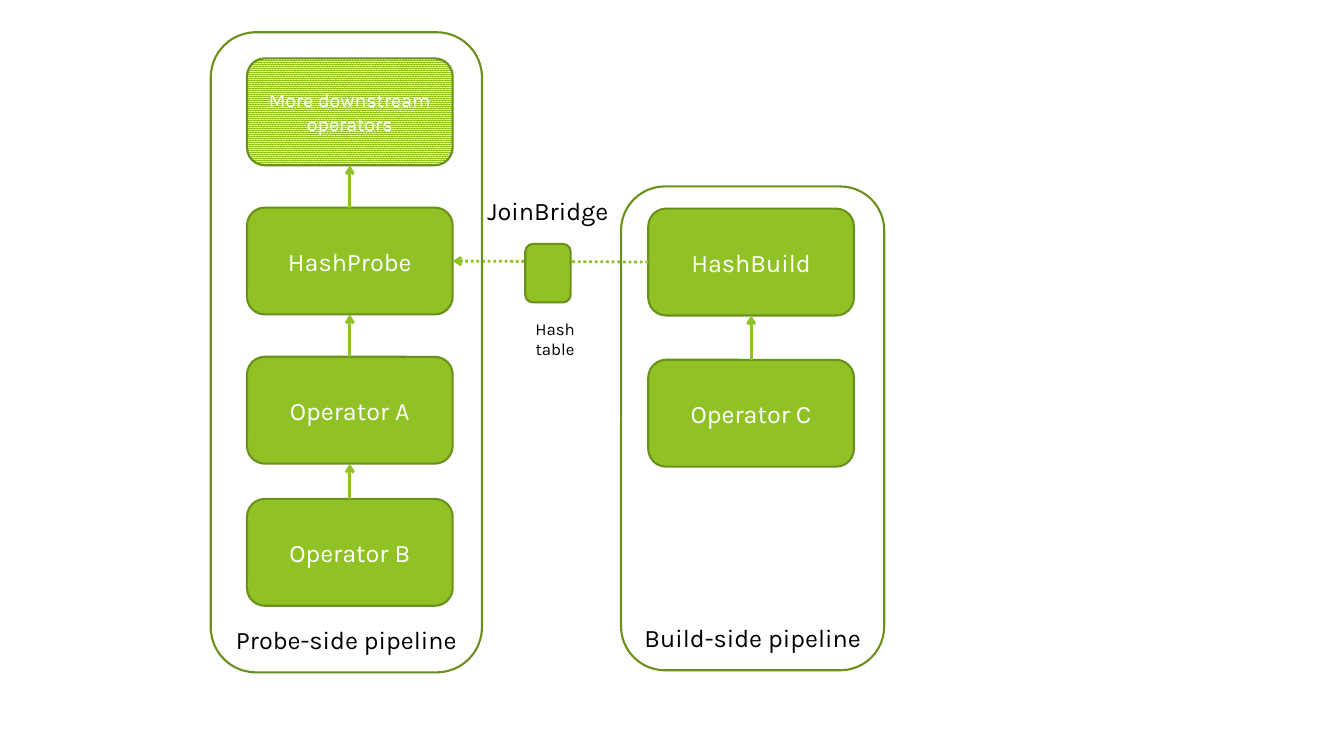
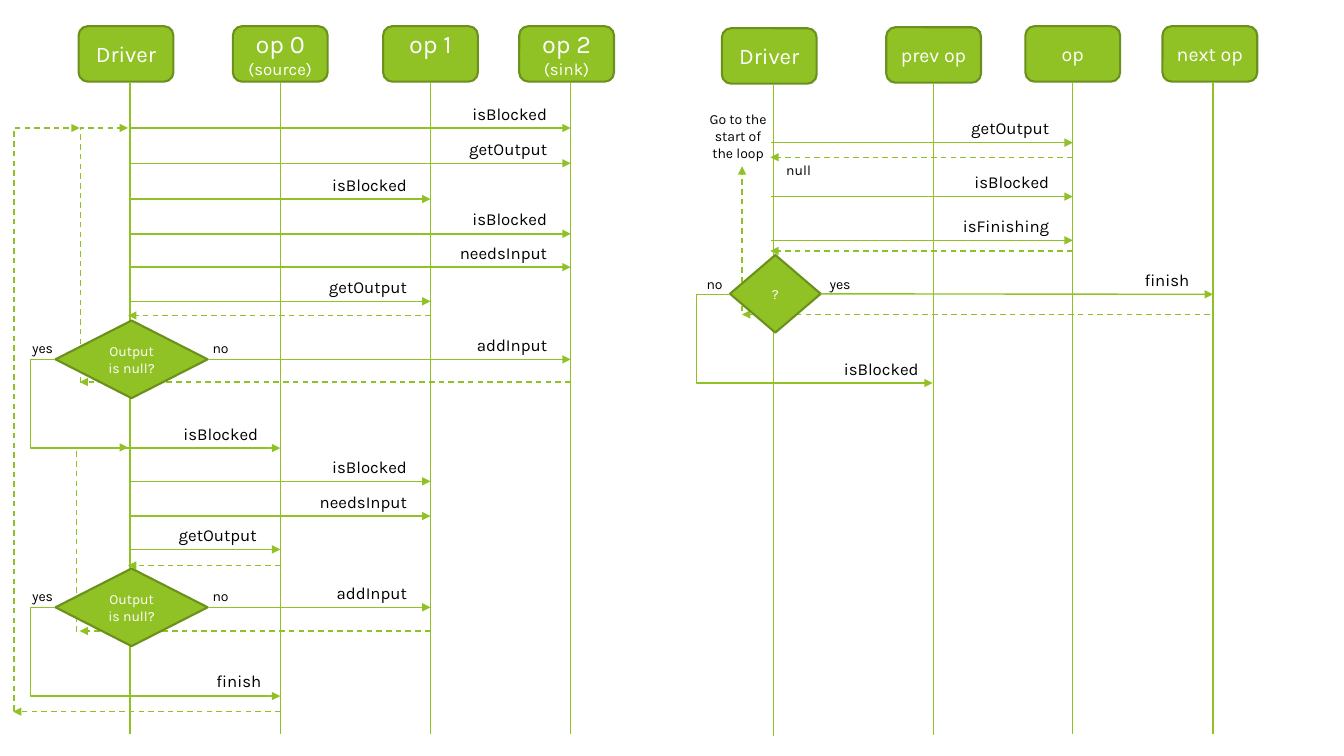
import pptx
import pptx.util
import pptx.dml.color
import pptx.enum.dml
import pptx.enum.shapes
import pptx.enum.text
import pptx.oxml.ns
import pptx.oxml.xmlchemy

GREEN = pptx.dml.color.RGBColor(0x90, 0xC2, 0x26)
DARK_GREEN = pptx.dml.color.RGBColor(0x6B, 0x90, 0x1C)
WHITE = pptx.dml.color.RGBColor(0xFF, 0xFF, 0xFF)
BLACK = pptx.dml.color.RGBColor(0, 0, 0)
FONT = "Karla"
CELL = 0.1  # side of a square grid cell in inches

SHAPE = pptx.enum.shapes.MSO_SHAPE
CONNECTOR = pptx.enum.shapes.MSO_CONNECTOR
DASH = pptx.enum.dml.MSO_LINE.DASH
DOT = pptx.enum.dml.MSO_LINE.ROUND_DOT
PATTERN = pptx.enum.dml.MSO_PATTERN
ALIGN = pptx.enum.text.PP_ALIGN
ANCHOR = pptx.enum.text.MSO_ANCHOR
TOP, LEFT, BOTTOM, RIGHT = range(4)


def cells(*counts):
    """Turn numbers of grid cells into lengths."""
    return [pptx.util.Inches(count * CELL) for count in counts]


class Diagram:
    """Style and current slide; all lengths are columns and rows of the grid."""

    def __init__(self, presentation):
        self.presentation = presentation
        self.slide = None

    def new_slide(self):
        self.slide = self.presentation.slides.add_slide(
            self.presentation.slide_layouts[6])

    def set_text(self, frame, lines, color, align):
        frame.word_wrap = True
        for index, (text, size) in enumerate(lines):
            paragraph = frame.add_paragraph() if index else frame.paragraphs[0]
            paragraph.text = text
            paragraph.alignment = align
            paragraph.font.name = FONT
            paragraph.font.size = pptx.util.Pt(size)
            paragraph.font.color.rgb = color

    def shape(self, at, *lines, kind=SHAPE.ROUNDED_RECTANGLE, pattern=None):
        shape = self.slide.shapes.add_shape(kind, *cells(*at))
        shape.shadow.inherit = False
        if pattern is None:
            shape.fill.solid()
        else:
            shape.fill.patterned()
            shape.fill.pattern = pattern
            shape.fill.back_color.rgb = WHITE
        shape.fill.fore_color.rgb = GREEN
        shape.line.color.rgb = DARK_GREEN
        shape.line.width = pptx.util.Pt(1.5)
        shape.text_frame.vertical_anchor = ANCHOR.MIDDLE
        self.set_text(shape.text_frame, lines, WHITE, ALIGN.CENTER)
        return shape

    def frame(self, at, title):
        frame = self.shape(at)
        frame.fill.background()
        frame.text_frame.vertical_anchor = ANCHOR.BOTTOM
        self.set_text(frame.text_frame, [(title, 18)], BLACK, ALIGN.CENTER)

    def decision(self, at, text):
        return self.shape(at, (text, 10), kind=SHAPE.FLOWCHART_DECISION)

    def label(self, at, text, size, align=ALIGN.LEFT):
        box = self.slide.shapes.add_textbox(*cells(*at))
        self.set_text(box.text_frame, [(text, size)], BLACK, align)

    def line(self, start, end, arrow="triangle", dash=None, width=1,
             kind=CONNECTOR.STRAIGHT):
        connector = self.slide.shapes.add_connector(kind, *cells(*start, *end))
        connector.line.color.rgb = GREEN
        connector.line.width = pptx.util.Pt(width)
        if dash is not None:
            connector.line.dash_style = dash
        properties = connector._element.spPr
        if arrow:
            tail = pptx.oxml.xmlchemy.OxmlElement("a:tailEnd")
            tail.set("type", arrow)
            properties.find(pptx.oxml.ns.qn("a:ln")).append(tail)
        properties.append(pptx.oxml.xmlchemy.OxmlElement("a:effectLst"))
        return connector

    def link(self, source, source_side, target, target_side, dash=None):
        connector = self.line((0, 0), (1, 1), "arrow", dash, 2)
        connector.begin_connect(source, source_side)
        connector.end_connect(target, target_side)

    def elbow(self, start, end, turn, dash=None):
        """Run along the row to column turn, then to the row of end."""
        connector = self.line(start, end, dash=dash, kind=CONNECTOR.ELBOW)
        guide = pptx.oxml.xmlchemy.OxmlElement("a:gd")
        share = (turn - start[0]) / (end[0] - start[0])
        guide.set("name", "adj1")
        guide.set("fmla", f"val {round(share * 100000)}")
        values = connector._element.spPr.find(
            ".//" + pptx.oxml.ns.qn("a:avLst"))
        values.append(guide)

    def call_label(self, column, row, text, gap=1.35):
        """Name a call above its arrow, which ends at the column."""
        self.label((column - gap - 12.5, row - 2.95, 12.5, 3), text, 12,
                   ALIGN.RIGHT)

    def call(self, start, column, row, text, source=None):
        connector = self.line((start, row), (column, row))
        if source is not None:
            connector.begin_connect(source, RIGHT)
        self.call_label(column, row, text)

    def participant(self, left, top, life, *lines):
        """Header with a lifeline that runs down at column life."""
        width, height = 9.4, 5.5
        header = self.shape((left, top, width, height), *lines)
        bottom = top + height
        connector = self.line((life, bottom), (life, bottom + 64.75), None)
        if abs(left + width / 2 - life) < 0.2:
            connector.begin_connect(header, BOTTOM)
        return header


def pipelines(diagram):
    diagram.new_slide()
    probe, build = 24.5, 64.3
    size = (20.4, 10.6)

    # Operators
    downstream = diagram.shape((probe, 5.8, *size),
                               ("More downstream operators", 14),
                               pattern=PATTERN.PERCENT_90)
    hash_probe, operator_a, operator_b, hash_build, operator_c = [
        diagram.shape((left, top, *size), (name, 18))
        for left, top, name in [(probe, 20.6, "HashProbe"),
                                (probe, 35.4, "Operator A"),
                                (probe, 49.5, "Operator B"),
                                (build, 20.7, "HashBuild"),
                                (build, 35.7, "Operator C")]]

    # Data flow
    for lower, upper in [(operator_b, operator_a), (operator_a, hash_probe),
                         (hash_probe, downstream), (operator_c, hash_build)]:
        diagram.link(lower, TOP, upper, BOTTOM)
    diagram.link(hash_build, LEFT, hash_probe, RIGHT, DOT)

    # Join bridge and pipeline frames
    diagram.label((45.7, 18.9, 17.3, 4), "JoinBridge", 18, ALIGN.CENTER)
    diagram.frame((20.9, 3.2, 26.9, 63.5), "Probe-side pipeline")
    diagram.frame((61.6, 18.5, 26.1, 48), "Build-side pipeline")
    diagram.shape((52.1, 24.2, 4.5, 5.8), pattern=PATTERN.DARK_HORIZONTAL)
    diagram.label((50, 31.1, 10.1, 3), "Hash table", 12, ALIGN.CENTER)


def driver_loop(diagram):
    driver, source, middle, sink = 12.9, 27.8, 42.7, 56.6

    # Participants
    diagram.participant(7.8, 2.6, driver, ("Driver", 16))
    diagram.participant(23.1, 2.6, source, ("op 0", 18), ("(source)", 12))
    plain = diagram.participant(38, 2.6, middle, ("op 1", 18))
    plain.text_frame.margin_bottom = pptx.util.Inches(0.25)
    diagram.participant(51.5, 2.6, sink, ("op 2", 18), ("(sink)", 12))

    # Calls from the driver
    for column, row, name in [
            (sink, 12.7, "isBlocked"), (sink, 16.2, "getOutput"),
            (middle, 19.75, "isBlocked"), (sink, 23.2, "isBlocked"),
            (sink, 26.5, "needsInput"), (middle, 29.9, "getOutput"),
            (middle, 47.75, "isBlocked"), (middle, 51.2, "needsInput"),
            (source, 54.5, "getOutput")]:
        diagram.call(driver, column, row, name)

    # Returns and loops
    for start, end, row in [(middle, 12.7, 31.3), (sink, 7.9, 37.9),
                            (source, 12.7, 56.1), (middle, 7.9, 62.6),
                            (source, 1.3, 70.6)]:
        diagram.line((start, row), (end, row), dash=DASH)
    for start, end in [((8, 38), (12.7, 12.7)), ((7.6, 62.7), (12.7, 44.4)),
                       ((1.4, 70.5), (7.9, 12.7))]:
        diagram.elbow(start, end, start[0], DASH)

    # Decisions
    for top, target, yes_call, gap in [(31.8, sink, "isBlocked", 1.2),
                                       (56.4, middle, "finish", 0.9)]:
        decision = diagram.decision((5.5, top, 15.1, 7.7), "Output is null?")
        center = top + 3.85
        diagram.call(20.6, target, center, "addInput", decision)
        diagram.elbow((5.5, center), (source, center + 8.8), 3)
        diagram.call_label(source, center + 8.8, yes_call, gap)
        for left, answer in [(2.2, "yes"), (20.1, "no")]:
            diagram.label((left, top + 1.4, 5.6, 2.7), answer, 10)


def finish_loop(diagram):
    driver, previous, current, following = 76.7, 92.6, 106.4, 120.3

    # Participants
    for left, top, life, name, size in [
            (71.6, 2.8, driver, "Driver", 16),
            (87.9, 2.7, previous, "prev op", 14),
            (101.7, 2.6, current, "op", 14),
            (115.3, 2.6, following, "next op", 14)]:
        diagram.participant(left, top, life, (name, size))

    # Calls and returns
    for row, name in [(14.15, "getOutput"), (19.5, "isBlocked"),
                      (23.85, "isFinishing")]:
        diagram.call(76.5, current, row, name)
    for start, end in [((current, 15.6), (76.4, 15.6)),
                       ((current, 24.9), (76.4, 24.9)),
                       ((120, 31.2), (73.6, 31.2)),
                       ((73.6, 30.9), (73.6, 16.5))]:
        diagram.line(start, end, dash=DASH)

    # Decision
    decision = diagram.decision((72.4, 25.3, 9, 7.7), "?")
    diagram.call(81.4, following, 29.2, "finish", decision)
    diagram.elbow((72.4, 29.2), (92.5, 38), 69.1)
    diagram.call_label(92.5, 38, "isBlocked", 0.4)
    for left, top, text in [(69.1, 26.8, "no"), (81.3, 26.8, "yes"),
                            (77, 15.5, "null")]:
        diagram.label((left, top, 5.6, 2.7), text, 10)
    diagram.label((69.1, 10.5, 8.2, 6.1), "Go to the start of the loop", 10,
                  ALIGN.CENTER)


def main():
    presentation = pptx.Presentation()
    presentation.slide_width = pptx.util.Inches(13.33)
    presentation.slide_height = pptx.util.Inches(7.5)
    diagram = Diagram(presentation)
    pipelines(diagram)
    diagram.new_slide()
    driver_loop(diagram)
    finish_loop(diagram)
    presentation.save("out.pptx")


if __name__ == "__main__":
    main()
